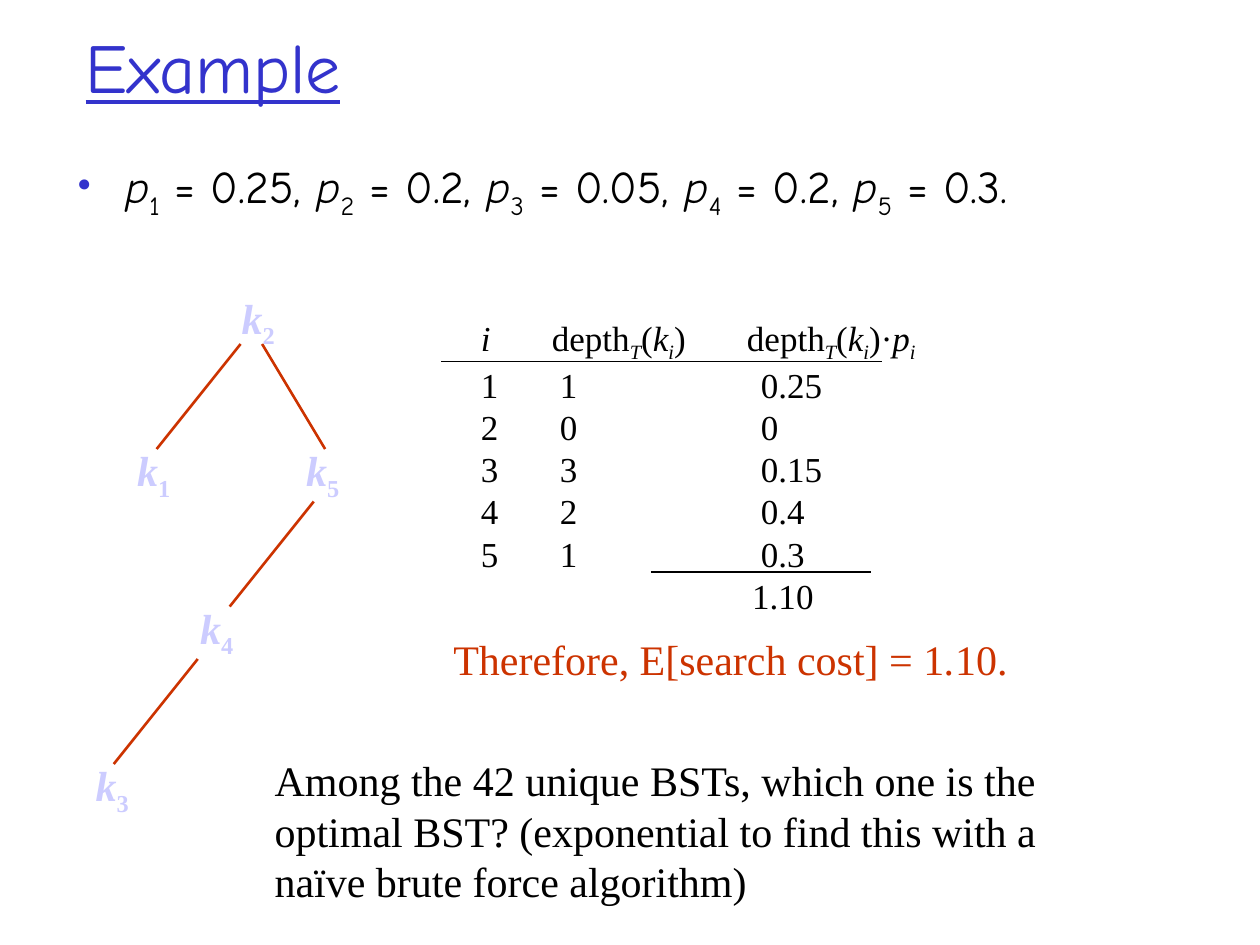
from pptx import Presentation
from pptx.dml.color import RGBColor
from pptx.enum.shapes import MSO_CONNECTOR as Connector
from pptx.enum.text import MSO_ANCHOR as Anchor
from pptx.oxml.ns import qn
from pptx.util import Pt
from lxml.etree import SubElement

BLUE, BLACK, RED, LILAC = "3333CC", "000000", "CC3300", "CCCCFF"
COMIC, TIMES = "Comic Neue", "Times New Roman"

# A run is (text, style); in the style, i = italic and s = subscript.
probabilities = ["0.25", "0.2", "0.05", "0.2", "0.3"]
depth = [("depth", ""), ("T", "is"), ("(", ""), ("k", "i"), ("i", "is"), (")", "")]
header = [("i", "i"), ("\t", ""), *depth, ("\t", ""), *depth,
          ("·", ""), ("p", "i"), ("i", "is")]
rows = [("1", "1", "0.25"), ("2", "0", "0"), ("3", "3", "0.15"),
        ("4", "2", "0.4"), ("5", "1", "0.3")]
total = "1.10"
header_stops, row_stops, total_stops = [40.5, 152], [45, 160], [155]
conclusion = [("Therefore, E[search cost] = 1", ""), (".", "i"), ("10.", "")]
question = ("Among the 42 unique BSTs, which one is the optimal BST? "
            "(exponential to find this with a naïve brute force algorithm)")

# key index, left, top
nodes = [("2", 131, 163.5), ("1", 71.3, 250.6), ("5", 167.8, 250.6),
         ("4", 107.3, 340.6), ("3", 47.5, 430.6)]
# start x, tree level, horizontal reach
edges = [(137.5, 0, -48), (149.8, 0, 36), (179.3, 1, -48), (113, 2, -48)]
FIRST_EDGE_TOP, LEVEL_STEP, EDGE_DROP = 196.6, 90, 60
rules = [(252, 504, 206.6), (372, 498, 326.9)]  # from x, to x, y


def rgb(hex_color):
    return RGBColor.from_string(hex_color)


def add_paragraph(paragraph, runs, size, color, face=TIMES, stops=(), **extra):
    if stops:
        tabs = SubElement(paragraph._p.get_or_add_pPr(), qn("a:tabLst"))
        for stop in stops:
            SubElement(tabs, qn("a:tab"), pos=str(Pt(stop)), algn="l")
    for text, style in runs:
        run = paragraph.add_run()
        run.text = text
        run.font.color.rgb = rgb(color)
        formats = {"name": face, "size": Pt(size), "italic": "i" in style, **extra}
        for attribute, value in formats.items():
            setattr(run.font, attribute, value)
        if "s" in style:
            run._r.get_or_add_rPr().set("baseline", "-25000")


def add_box(left, top, width, height, wrap=True):
    frame = slide.shapes.add_textbox(Pt(left), Pt(top), Pt(width), Pt(height)).text_frame
    frame.word_wrap = wrap
    return frame


def add_line(x1, y1, x2, y2, color, weight):
    line = slide.shapes.add_connector(Connector.STRAIGHT, Pt(x1), Pt(y1), Pt(x2), Pt(y2))
    line.line.color.rgb = rgb(color)
    line.line.width = Pt(weight)
    SubElement(line._element.spPr, qn("a:effectLst"))


deck = Presentation()
deck.slide_width, deck.slide_height = Pt(720), Pt(540)
slide = deck.slides.add_slide(deck.slide_layouts[6])

title = add_box(41.8, 18, 612, 38.9)
title.vertical_anchor = Anchor.MIDDLE
add_paragraph(title.paragraphs[0], [("Example", "")], 40, BLUE, COMIC, underline=True)

given = add_box(37.4, 87.1, 643, 44.6).paragraphs[0]
properties = given._p.get_or_add_pPr()
properties.set("marL", str(Pt(27)))
properties.set("indent", str(Pt(-27)))
bullet_color = SubElement(properties, qn("a:buClr"))
SubElement(bullet_color, qn("a:srgbClr"), val=BLUE)
SubElement(properties, qn("a:buSzPct"), val="85000")
SubElement(properties, qn("a:buChar"), char="•")
given_runs = []
for index, probability in enumerate(probabilities, 1):
    end = "." if index == len(probabilities) else ", "
    given_runs += [("p", "i"), (str(index), "s"), (f" = {probability}{end}", "")]
add_paragraph(given, given_runs, 25.9, BLACK, COMIC)

costs = add_box(267.8, 177.1, 360, 178.6)
add_paragraph(costs.paragraphs[0], header, 20, BLACK, stops=header_stops)
for row in rows:
    add_paragraph(costs.add_paragraph(), [("\t".join(row), "")], 20, BLACK, stops=row_stops)
add_paragraph(costs.add_paragraph(), [("\t" + total, "")], 20, BLACK, stops=total_stops)

add_paragraph(add_box(252, 358.6, 331.2, 36, wrap=False).paragraphs[0], conclusion, 24, RED)
for start, end, y in rules:
    add_line(start, y, end, y, BLACK, 1)

for x, level, reach in edges:
    y = FIRST_EDGE_TOP + level * LEVEL_STEP
    add_line(x, y, x + reach, y + EDGE_DROP, RED, 1.5)
for key, left, top in nodes:
    label = add_box(left, top, 37.4, 40.3, wrap=False).paragraphs[0]
    add_paragraph(label, [("k", "i"), (key, "s")], 24, LILAC, bold=True)

add_paragraph(add_box(149.8, 427.7, 486, 93.6).paragraphs[0], [(question, "")], 24, BLACK)

deck.save("out.pptx")
